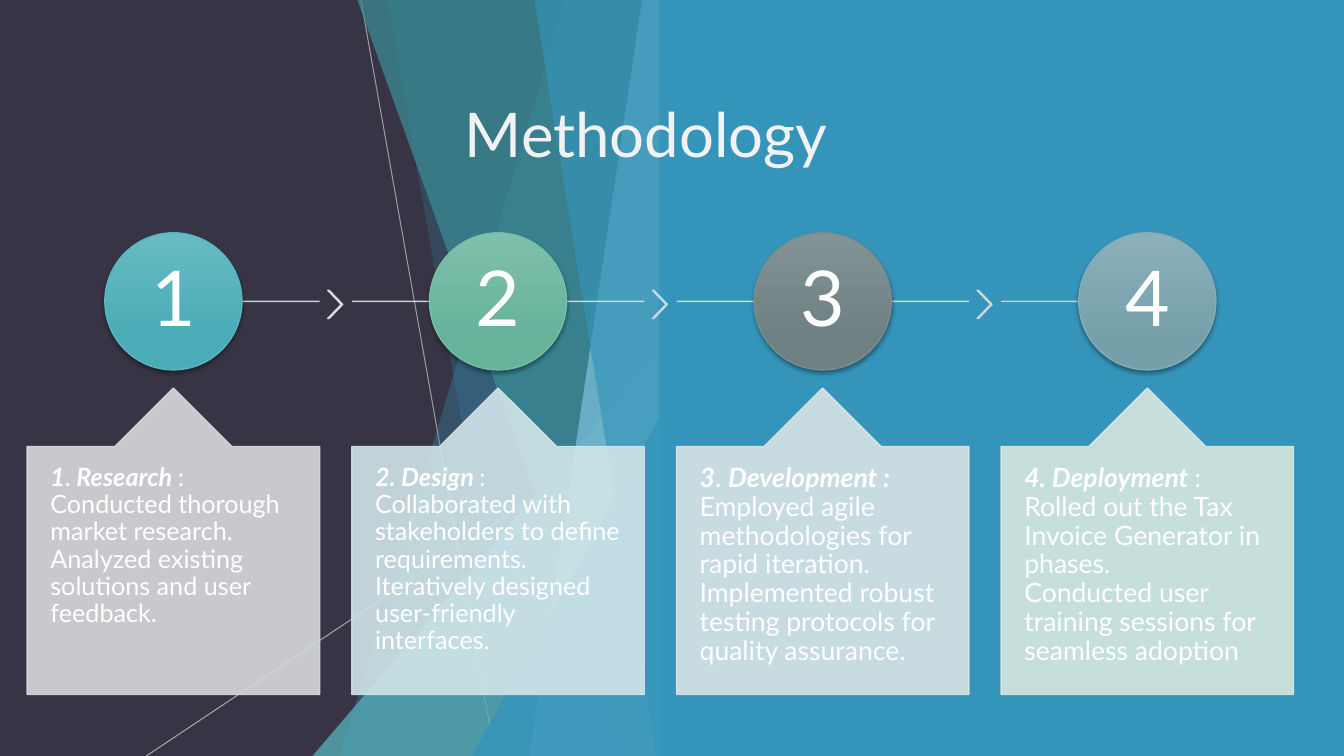
import pptx
import pptx.util
import pptx.dml.color
import pptx.enum.dml
import pptx.enum.shapes
import pptx.enum.text
import pptx.oxml
import pptx.oxml.ns
from pptx.util import Inches

COLORS = {
    "night": "373545", "blue": "3494BA", "teal": "3A8F98", "aqua": "58B6C0",
    "sky": "7FC1DB", "thread": "BFBFBF", "title": "F2F2F2", "text": "FFFFFF",
    "ice": "D1E5E8", "mint": "D6E8E1", "silver": "D7DADB", "mist": "D9E3E5",
    "lilac": "CDD9EA",
}
SHAPES = pptx.enum.shapes.MSO_SHAPE
ANCHOR = pptx.enum.text.MSO_ANCHOR
ALIGN = pptx.enum.text.PP_ALIGN
FACET_EDGE = 6.66
TOP, BOTTOM = -0.01, 7.5
CARD_LEFT, CARD_WIDTH, PITCH = 0.27, 2.9, 3.22

# Each text alternates emphasised and plain runs, followed by a closing sentence.
STEPS = [
    (["1", ".", " Research ", ": Conducted thorough market research."],
     "Analyzed existing solutions and user feedback.",
     18, "silver", "ice", "mint", ("67BAC3", "4AACB6", "58B6C0")),
    (["2. Design ", ": Collaborated with stakeholders to define requirements."],
     "Iteratively designed user-friendly interfaces.",
     18, "ice", "mist", "lilac", ("7FC0AC", "66B29B", "75BDA7")),
    (["3", ". ", "Development : ", "Employed agile methodologies for rapid iteration."],
     "Implemented robust testing protocols for quality assurance.",
     19, "mist", "mint", "silver", ("839395", "6F8082", "7A8C8E")),
    (["4. Deployment ", ": Rolled out the Tax Invoice Generator in phases."],
     "Conducted user training sessions for seamless adoption",
     19, "mint", "lilac", None, ("8CB0BA", "75A0AA", "84ACB6")),
]


def rgb(color):
    return pptx.dml.color.RGBColor.from_string(COLORS.get(color, color))


class Deck:
    """Holds the slide style and draws each kind of element on the current slide."""

    def __init__(self, font):
        self.font = font
        self.presentation = pptx.Presentation()
        self.presentation.slide_width = Inches(13.33)
        self.presentation.slide_height = Inches(7.5)
        self.slide = self.presentation.slides.add_slide(self.presentation.slide_layouts[5])
        self.shapes = self.slide.shapes
        background = self.slide.background.fill
        background.solid()
        background.fore_color.rgb = rgb("night")

    def set_opacity(self, element, percent):
        for color in element.iter(pptx.oxml.ns.qn("a:srgbClr")):
            color.append(pptx.oxml.parse_xml(
                f'<a:alpha {pptx.oxml.ns.nsdecls("a")} val="{percent * 1000}"/>'))

    def paint(self, shape, color, opacity=100, outlined=False):
        shape.shadow.inherit = False
        shape.fill.solid()
        shape.fill.fore_color.rgb = rgb(color)
        if outlined:
            shape.line.color.rgb = rgb(color)
            shape.line.width = pptx.util.Pt(1)
        else:
            shape.line.fill.background()
        if opacity < 100:
            self.set_opacity(shape.element.spPr, opacity)

    def preset(self, kind, left, top, width, height, adjustments=()):
        shape = self.shapes.add_shape(
            kind, Inches(left), Inches(top), Inches(width), Inches(height))
        for index, value in enumerate(adjustments):
            shape.adjustments[index] = value
        return shape

    def facet(self, top_x, bottom_x, color, opacity):
        outline = self.shapes.build_freeform(Inches(top_x), Inches(TOP))
        corners = [(FACET_EDGE, TOP), (FACET_EDGE, BOTTOM), (bottom_x, BOTTOM)]
        outline.add_line_segments([(Inches(x), Inches(y)) for x, y in corners])
        self.paint(outline.convert_to_shape(), color, opacity)

    def corner(self, left, top, color, opacity):
        triangle = self.preset(SHAPES.ISOSCELES_TRIANGLE, left, top,
                               FACET_EDGE - left, BOTTOM - top, [1])
        self.paint(triangle, color, opacity)

    def line(self, start, end, color, width, opacity):
        connector = self.shapes.add_connector(
            pptx.enum.shapes.MSO_CONNECTOR.STRAIGHT,
            *(Inches(value) for value in start + end))
        connector.line.color.rgb = rgb(color)
        connector.line.width = pptx.util.Pt(width)
        properties = connector.element.spPr
        self.set_opacity(properties, opacity)
        properties.append(pptx.oxml.parse_xml(
            f'<a:effectLst {pptx.oxml.ns.nsdecls("a")}/>'))

    def disc(self, left, top, size, shades):
        light, dark, rim = shades
        circle = self.preset(SHAPES.OVAL, left, top, size, size)
        circle.shadow.inherit = False
        circle.fill.gradient()
        circle.fill.gradient_angle = 270
        for stop, color, position in zip(circle.fill.gradient_stops, (light, dark), (0, 0.78)):
            stop.color.rgb = rgb(color)
            stop.position = position
        circle.line.color.rgb = rgb(rim)
        circle.line.width = pptx.util.Pt(1)
        effects = circle.element.spPr.find(pptx.oxml.ns.qn("a:effectLst"))
        effects.append(pptx.oxml.parse_xml(
            f'<a:outerShdw {pptx.oxml.ns.nsdecls("a")} blurRad="38100" dist="25400" '
            'dir="5400000" rotWithShape="0"><a:srgbClr val="000000">'
            '<a:alpha val="35000"/></a:srgbClr></a:outerShdw>'))

    def style(self, run, size, color, strong=False):
        run.font.name = self.font
        run.font.size = pptx.util.Pt(size)
        run.font.color.rgb = rgb(color)
        run.font.bold = run.font.italic = strong

    def title(self, text, left, top, width, height):
        heading = self.shapes.title
        heading.left, heading.top = Inches(left), Inches(top)
        heading.width, heading.height = Inches(width), Inches(height)
        heading.text_frame.text = text
        heading.text_frame.vertical_anchor = ANCHOR.MIDDLE
        paragraph = heading.text_frame.paragraphs[0]
        paragraph.alignment = ALIGN.LEFT
        self.style(paragraph.runs[0], 44, "title")
        self.shapes.element.append(heading.element)

    def text_box(self, left, top, width, height, inset_x, inset_y):
        frame = self.shapes.add_textbox(
            Inches(left), Inches(top), Inches(width), Inches(height)).text_frame
        frame.word_wrap = True
        frame.margin_left = frame.margin_right = Inches(inset_x)
        frame.margin_top = frame.margin_bottom = Inches(inset_y)
        frame.paragraphs[0].line_spacing = 0.9
        return frame

    def number(self, text, left, top, size):
        frame = self.text_box(left, top, size, size, 0.05, 0.05)
        frame.vertical_anchor = ANCHOR.MIDDLE
        paragraph = frame.paragraphs[0]
        paragraph.text = text
        paragraph.alignment = ALIGN.CENTER
        self.style(paragraph.runs[0], 55, "text")

    def description(self, parts, closing, size, left):
        paragraph = self.text_box(left, 4.43, CARD_WIDTH, 2.46, 0.23, 0.18).paragraphs[0]
        for index, part in enumerate(parts):
            run = paragraph.add_run()
            run.text = part
            self.style(run, size, "text", strong=index % 2 == 0)
        paragraph.add_line_break()
        run = paragraph.add_run()
        run.text = closing
        self.style(run, size, "text")

    def step(self, index, parts, closing, size, card, track, arrow, shades):
        left = CARD_LEFT + index * PITCH
        center = left + CARD_WIDTH / 2
        track_start = max(left, 1.88)
        track_end = min(left + CARD_WIDTH, 11.38)
        self.line((track_start, 2.99), (track_end, 2.99), track, 1, 90)
        if arrow:
            chevron = self.preset(SHAPES.CHEVRON, left + 2.98, 2.88, 0.15, 0.28, [0.9])
            self.paint(chevron, arrow, 90, outlined=True)
        self.disc(center - 0.68, 2.31, 1.36, shades)
        self.number(str(index + 1), center - 0.48, 2.51, 0.96)
        callout = self.preset(SHAPES.UP_ARROW_CALLOUT, left, 3.85, CARD_WIDTH, 3.04,
                              [0.5, 0.2, 0.2])
        callout.adjustments[3] = 0.81
        self.paint(callout, card, 90, outlined=True)
        self.description(parts, closing, size, left)


def main():
    deck = Deck("Lato")
    deck.line((3.58, 0), (4.91, 7.5), "thread", 0.75, 75)
    deck.line((6.66, 4.03), (1.45, 7.5), "thread", 0.75, 80)
    deck.facet(5.61, 3.37, "blue", 30)
    deck.facet(3.84, 5.16, "blue", 20)
    deck.corner(3.1, 3.33, "aqua", 72)
    deck.facet(3.54, 6.24, "teal", 70)
    deck.facet(6.37, 5.25, "sky", 70)
    deck.facet(5.3, 6.51, "blue", 65)
    deck.corner(4.68, 3.93, "blue", 80)
    deck.paint(deck.preset(SHAPES.RECTANGLE, 6.54, 0, 6.79, 7.5), "blue")
    deck.title("Methodology", 4.51, -0.92, 3.88, 4.48)
    for index, step in enumerate(STEPS):
        deck.step(index, *step)
    deck.presentation.save("out.pptx")


if __name__ == "__main__":
    main()
